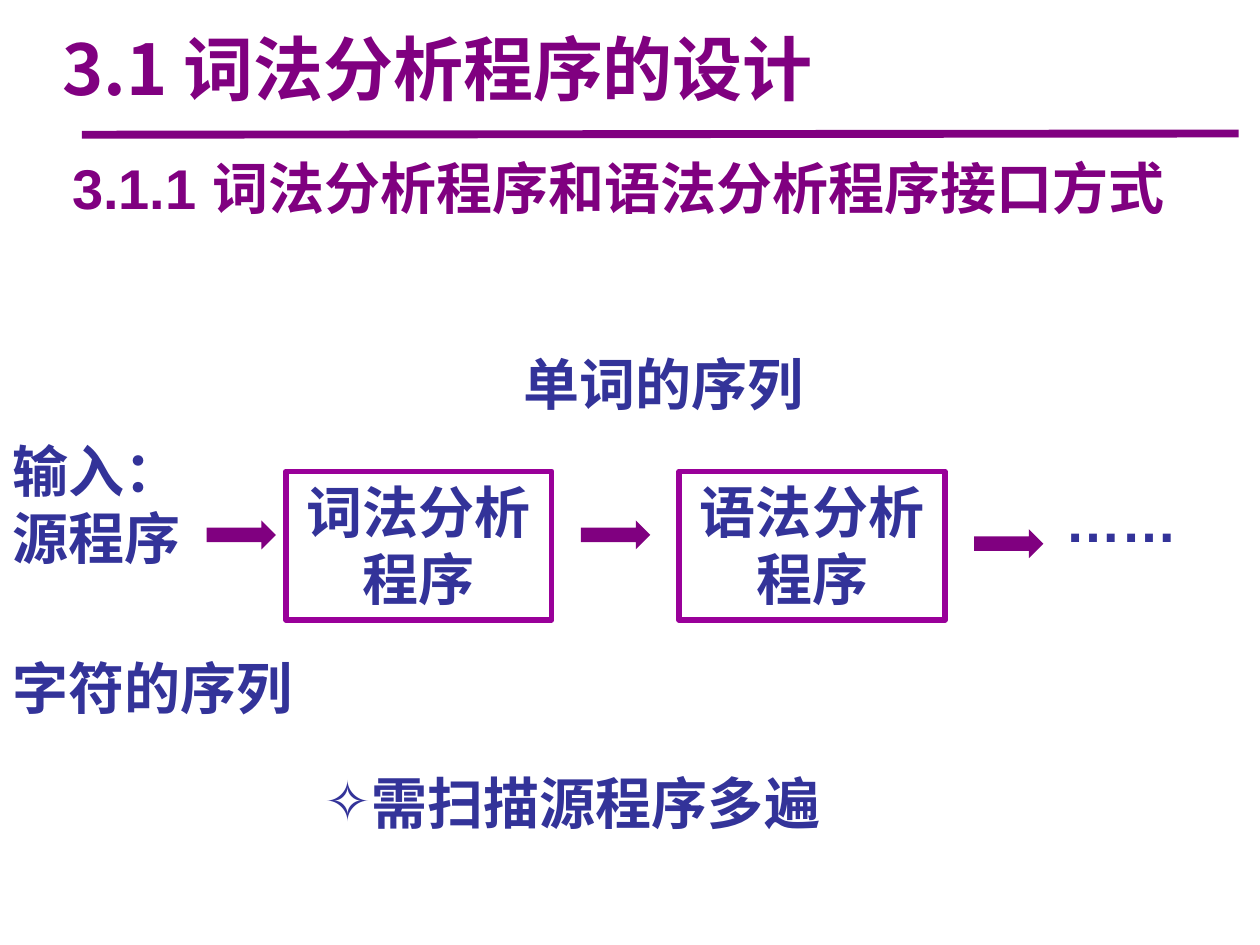
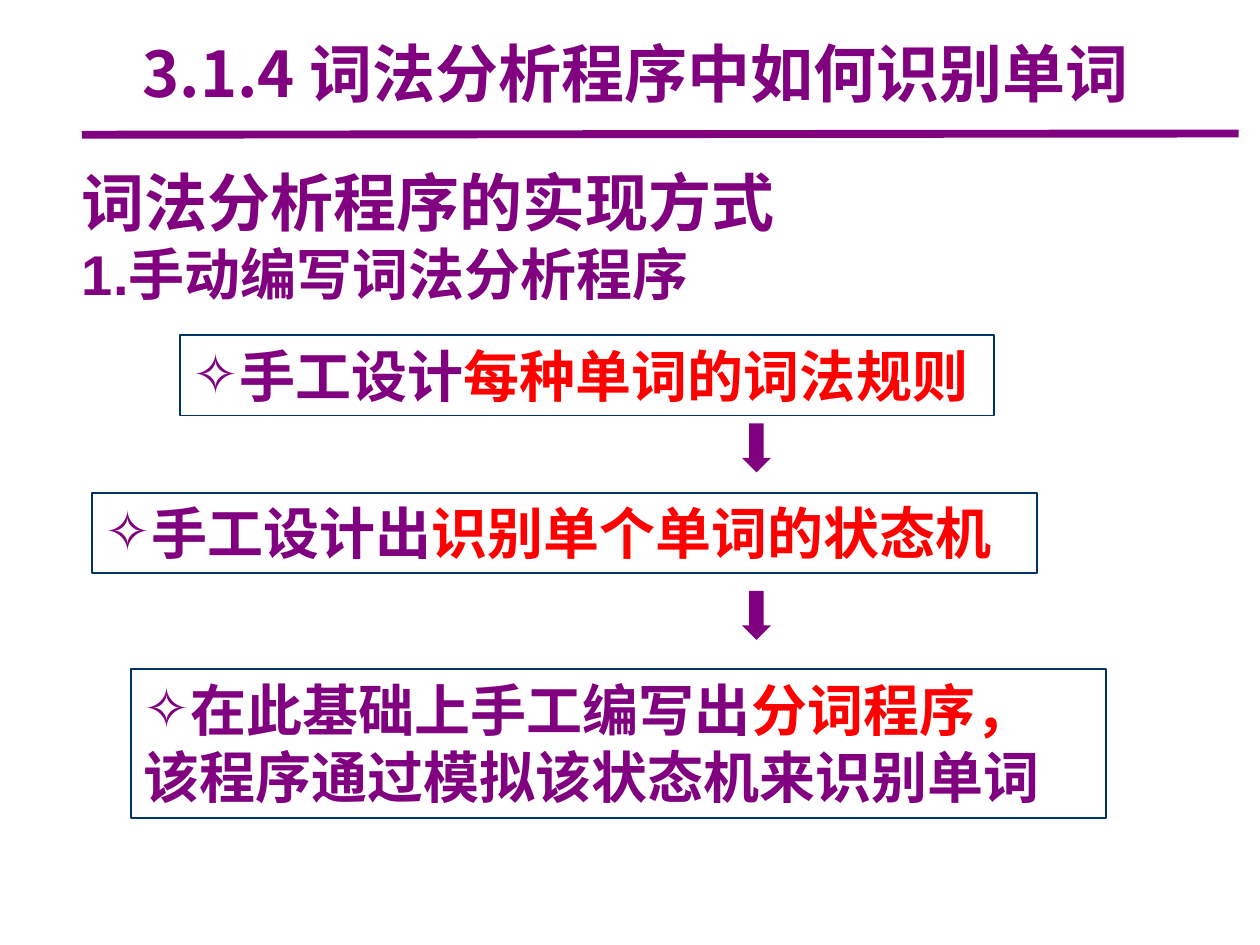
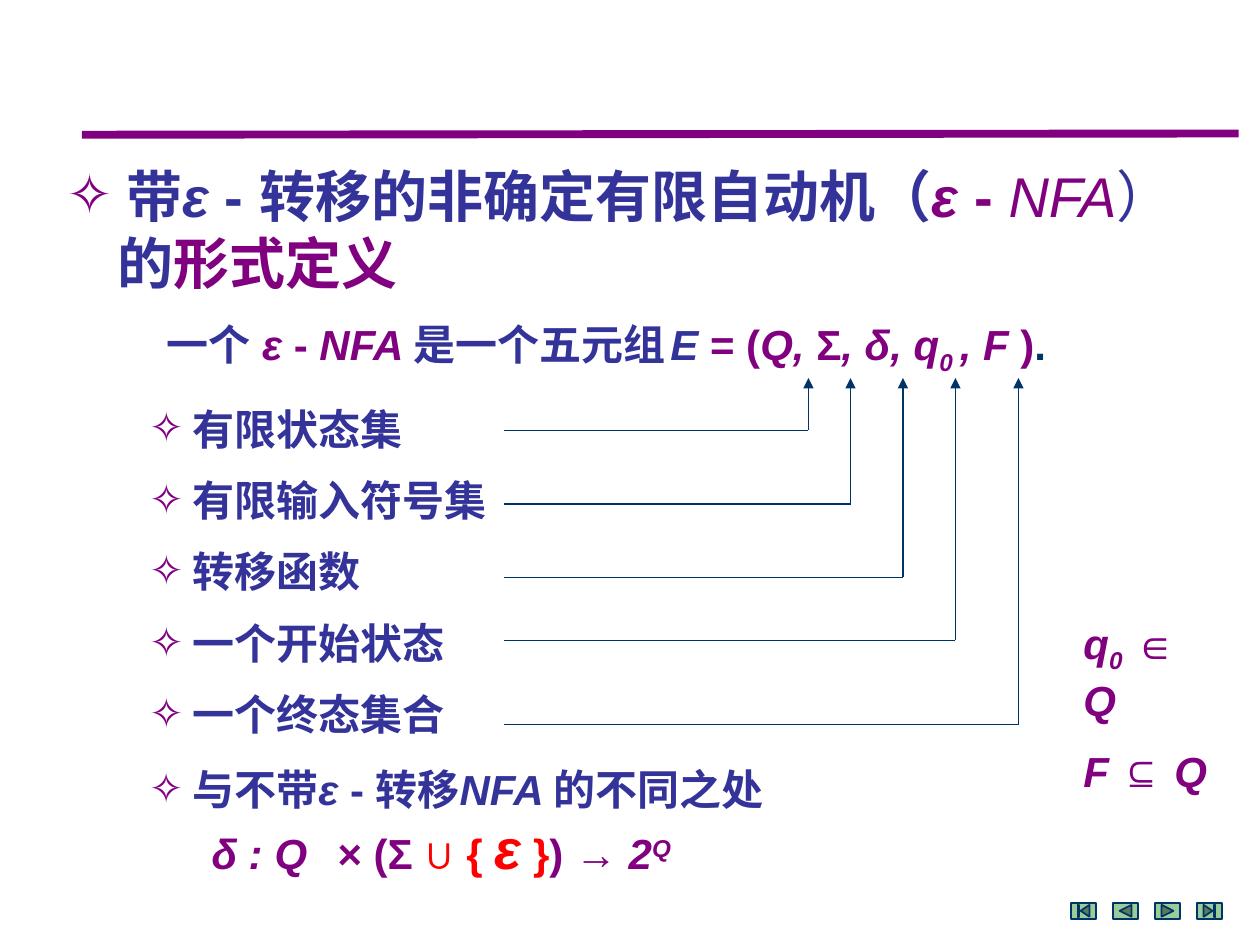
import dataclasses

import lxml.etree
import pptx
import pptx.dml.color
import pptx.enum.shapes
import pptx.enum.text
import pptx.oxml.ns
import pptx.shapes.autoshape
import pptx.slide
import pptx.text.text
import pptx.util

Pt = pptx.util.Pt
Color = pptx.dml.color.RGBColor
Kind = pptx.enum.shapes.MSO_SHAPE
Align = pptx.enum.text.PP_ALIGN
qn = pptx.oxml.ns.qn

PURPLE = Color(0x80, 0x00, 0x80)
BLUE = Color(0x33, 0x33, 0x99)
FRAME = Color(0x99, 0x00, 0x99)
NAVY = Color(0x00, 0x33, 0x66)
RED = Color(0xFF, 0x00, 0x00)
GREEN = Color(0x99, 0xCC, 0x99)
SANS = "Arial"
HAN = "Noto Sans CJK SC"

Area = tuple[float, float, float, float]
Point = tuple[float, float]


@dataclasses.dataclass
class Run:
    text: str
    color: Color = BLUE
    size: float = 32
    italic: bool = False
    bold: bool = True
    name: str = SANS
    base: int = 0


@dataclasses.dataclass
class Para:
    runs: list[Run]
    bullet: Color | None = None
    left: float = 0
    before: float = 0
    align: Align = Align.LEFT
    pitch: float = 1.0
    tabs: tuple[float, ...] = ()


@dataclasses.dataclass
class Box:
    area: Area
    paras: list[Para]
    edge: Color | None = None
    thick: float = 1


def add_mark(para: pptx.text.text._Paragraph, item: Para) -> None:
    props = para._p.get_or_add_pPr()
    props.set("marL", str(Pt(item.left)))
    props.set("indent", str(-Pt(item.left) if item.bullet else 0))
    if item.bullet:
        tint = lxml.etree.SubElement(props, qn("a:buClr"))
        lxml.etree.SubElement(tint, qn("a:srgbClr"), val=str(item.bullet))
        lxml.etree.SubElement(props, qn("a:buFont"), typeface=SANS)
        lxml.etree.SubElement(props, qn("a:buChar"), char="✧")
    else:
        lxml.etree.SubElement(props, qn("a:buNone"))
    if item.tabs:
        stops = lxml.etree.SubElement(props, qn("a:tabLst"))
        for spot in item.tabs:
            lxml.etree.SubElement(stops, qn("a:tab"), pos=str(Pt(spot)), algn="l")


def add_run(para: pptx.text.text._Paragraph, item: Run) -> None:
    run = para.add_run()
    run.text = item.text
    form = {"name": item.name, "size": Pt(item.size), "bold": item.bold, "italic": item.italic}
    for key, value in form.items():
        setattr(run.font, key, value)
    run.font.color.rgb = item.color
    props = run._r.get_or_add_rPr()
    lxml.etree.SubElement(props, qn("a:ea"), typeface=item.name)
    if item.base:
        props.set("baseline", str(item.base * 1000))


def put_text(frame: pptx.text.text.TextFrame, paras: list[Para]) -> None:
    form = {
        "word_wrap": True,
        "auto_size": pptx.enum.text.MSO_AUTO_SIZE.NONE,
        "vertical_anchor": pptx.enum.text.MSO_ANCHOR.TOP,
    }
    for key, value in form.items():
        setattr(frame, key, value)
    for rank, item in enumerate(paras):
        para = frame.add_paragraph() if rank else frame.paragraphs[0]
        form = {
            "alignment": item.align,
            "line_spacing": item.pitch,
            "space_before": Pt(item.before),
        }
        for key, value in form.items():
            setattr(para, key, value)
        add_mark(para, item)
        for run in item.runs:
            add_run(para, run)


def fill_holder(holder: pptx.shapes.autoshape.Shape, box: Box) -> None:
    for key, value in zip(("left", "top", "width", "height"), box.area):
        setattr(holder, key, Pt(value))
    put_text(holder.text_frame, box.paras)


def add_shape(
    slide: pptx.slide.Slide, kind: Kind, area: Area,
    fill: Color | None = None, edge: Color | None = None, thick: float = 1,
) -> pptx.shapes.autoshape.Shape:
    shape = slide.shapes.add_shape(kind, *map(Pt, area))
    shape.shadow.inherit = False
    if fill:
        shape.fill.solid()
        shape.fill.fore_color.rgb = fill
    else:
        shape.fill.background()
    if edge:
        shape.line.color.rgb = edge
        shape.line.width = Pt(thick)
    else:
        shape.line.fill.background()
    return shape


def add_box(slide: pptx.slide.Slide, box: Box) -> None:
    if box.edge:
        shape = add_shape(slide, Kind.RECTANGLE, box.area, edge=box.edge, thick=box.thick)
    else:
        shape = slide.shapes.add_textbox(*map(Pt, box.area))
    put_text(shape.text_frame, box.paras)


def add_line(shapes, start: Point, end: Point, color: Color, thick: float, head: bool = False):
    kind = pptx.enum.shapes.MSO_CONNECTOR.STRAIGHT
    line = shapes.add_connector(kind, *map(Pt, start + end))
    line.line.color.rgb = color
    line.line.width = Pt(thick)
    if head:
        lxml.etree.SubElement(line.line._get_or_add_ln(), qn("a:tailEnd"), type="triangle")
    lxml.etree.SubElement(line.element.spPr, qn("a:effectLst"))
    return line


def plain(text: str, color: Color = BLUE, **form) -> Para:
    return Para([Run(text, color)], **form)


def heading(text: str, size: float) -> list[Para]:
    return [Para([Run(text, PURPLE, size, name=HAN)], align=Align.CENTER, pitch=0.9)]


def add_slide(deck, title: Box, body: Box) -> pptx.slide.Slide:
    slide = deck.slides.add_slide(deck.slide_layouts[1])
    for holder, box in zip(slide.placeholders, (title, body)):
        fill_holder(holder, box)
    return slide


def draw_design(deck) -> None:
    slide = add_slide(
        deck,
        Box((0, 16.5, 500, 51), heading("3.1 词法分析程序的设计", 40)),
        Box((34, 84, 686, 46), [plain("3.1.1 词法分析程序和语法分析程序接口方式", PURPLE)]),
    )
    rule = add_line(slide.shapes, (46.8, 77), (707.8, 76.3), PURPLE, 4.5)
    deck.slide_master.shapes.element.append(rule.element)
    for left, text in ((163.4, "词法分析程序"), (388.1, "语法分析程序")):
        add_box(slide, Box((left, 269.3, 152, 85), [plain(text, align=Align.CENTER)], FRAME, 3))
    for left, top in ((118, 297.4), (332, 297.4), (556.6, 302.4)):
        add_shape(slide, Kind.RIGHT_ARROW, (left, top, 39.6, 16.6), PURPLE)
    for box in (
        Box((0, 246, 124, 85), [plain("输入："), plain("源程序")]),
        Box((0, 370, 186, 46), [plain("字符的序列")]),
        Box((602, 274.3, 90, 46), [plain("……")]),
        Box((292.3, 196, 186, 46), [plain("单词的序列")]),
        Box((178.6, 435.6, 307.4, 46), [plain("需扫描源程序多遍", bullet=BLUE, left=26)]),
    ):
        add_box(slide, box)


def draw_steps(deck) -> None:
    slide = add_slide(
        deck,
        Box((6, 21, 714, 47.5), heading("3.1.4 词法分析程序中如何识别单词", 36)),
        Box((39.6, 90, 624, 90), [
            Para([Run("词法分析程序的实现方式", PURPLE, 36)]),
            plain("1.手动编写词法分析程序", PURPLE),
        ]),
    )
    steps = (
        ((103, 191.5, 465, 46), "手工设计", "每种单词的词法规则", ""),
        ((52.6, 281.5, 540, 46), "手工设计出", "识别单个单词的状态机", ""),
        ((75, 382.3, 557, 85), "在此基础上手工编写出", "分词程序，", "该程序通过模拟该状态机来识别单词"),
    )
    for area, start, key, rest in steps:
        paras = [Para([Run(start, PURPLE), Run(key, RED)], bullet=PURPLE, left=26)]
        if rest:
            paras.append(plain(rest, PURPLE))
        add_box(slide, Box(area, paras, NAVY))
    for top in (242, 337.7):
        add_shape(slide, Kind.DOWN_ARROW, (424, top, 16.6, 28), PURPLE)


def small(text: str, color: Color = PURPLE, italic: bool = False, base: int = 0) -> Run:
    return Run(text, color, 24, italic, base=base)


def draw_tuple(deck) -> None:
    names = ("有限状态集", "有限输入符号集", "转移函数", "一个开始状态", "一个终态集合")
    items = [
        Para([small(name, BLUE)], bullet=PURPLE, left=25, before=12 if rank else 0)
        for rank, name in enumerate(names)
    ]
    slide = add_slide(
        deck,
        Box((31, 88.5, 689, 84), [
            Para([
                Run("带"), Run("ε ", italic=True), Run("- 转移的非确定有限自动机（"),
                Run("ε ", PURPLE, italic=True), Run("- ", PURPLE),
                Run("NFA", PURPLE, italic=True, bold=False), Run("）", bold=False),
            ], bullet=PURPLE, left=34),
            Para([Run("的"), Run("形式定义", PURPLE)], left=29),
        ]),
        Box((77.8, 226.8, 216, 201), items),
    )
    for box in (
        Box((88, 178.6, 608, 36), [Para([
            small("一个 ", BLUE), small("ε ", italic=True), small("- "), small("NFA ", italic=True),
            small("是一个五元组\t", BLUE), small("E", BLUE, True), small(" = ("),
            small("Q, ", italic=True), small("Σ"), small(", δ, q", italic=True),
            small("0 ", italic=True, base=-25), small(", F ", italic=True), small(")"),
            small(".", NAVY),
        ], tabs=(313,))]),
        Box((612, 349.2, 90, 78), [
            Para([small("q", italic=True), small("0", italic=True, base=-25),
                  small(" ∈ "), small("Q", italic=True)]),
            Para([small("F", italic=True), small(" ⊆ "), small("Q", italic=True)], before=12),
        ]),
        Box((77.8, 432.7, 509, 75), [
            Para([
                small("与不带", BLUE), small("ε ", BLUE, True), small("- 转移", BLUE),
                small("NFA ", BLUE, True), small("的不同之处", BLUE),
            ], bullet=PURPLE, left=25),
            Para([
                small("\tδ :\tQ\t", italic=True), small("× (Σ "), small("∪ { ", RED),
                Run("ε", RED, italic=True), small(" }", RED), small(") → "),
                small("2", italic=True), small("Q", italic=True, base=30),
            ], tabs=(73, 116.5, 148)),
        ]),
    ):
        add_box(slide, box)
    for across, down in ((462, 246), (486, 288), (516, 330), (546, 366), (582, 414)):
        group = slide.shapes.add_group_shape()
        add_line(group.shapes, (288, down), (across, down), NAVY, 0.75)
        add_line(group.shapes, (across, down), (across, 216), NAVY, 0.75, head=True)
    kinds = (
        Kind.ACTION_BUTTON_BEGINNING, Kind.ACTION_BUTTON_BACK_OR_PREVIOUS,
        Kind.ACTION_BUTTON_FORWARD_OR_NEXT, Kind.ACTION_BUTTON_END,
    )
    for rank, kind in enumerate(kinds):
        add_shape(slide, kind, (612 + 24 * rank, 516, 14.4, 9), GREEN, NAVY)


def main() -> None:
    deck = pptx.Presentation()
    deck.slide_width, deck.slide_height = Pt(720), Pt(540)
    for draw in (draw_design, draw_steps, draw_tuple):
        draw(deck)
    deck.save("out.pptx")


if __name__ == "__main__":
    main()
